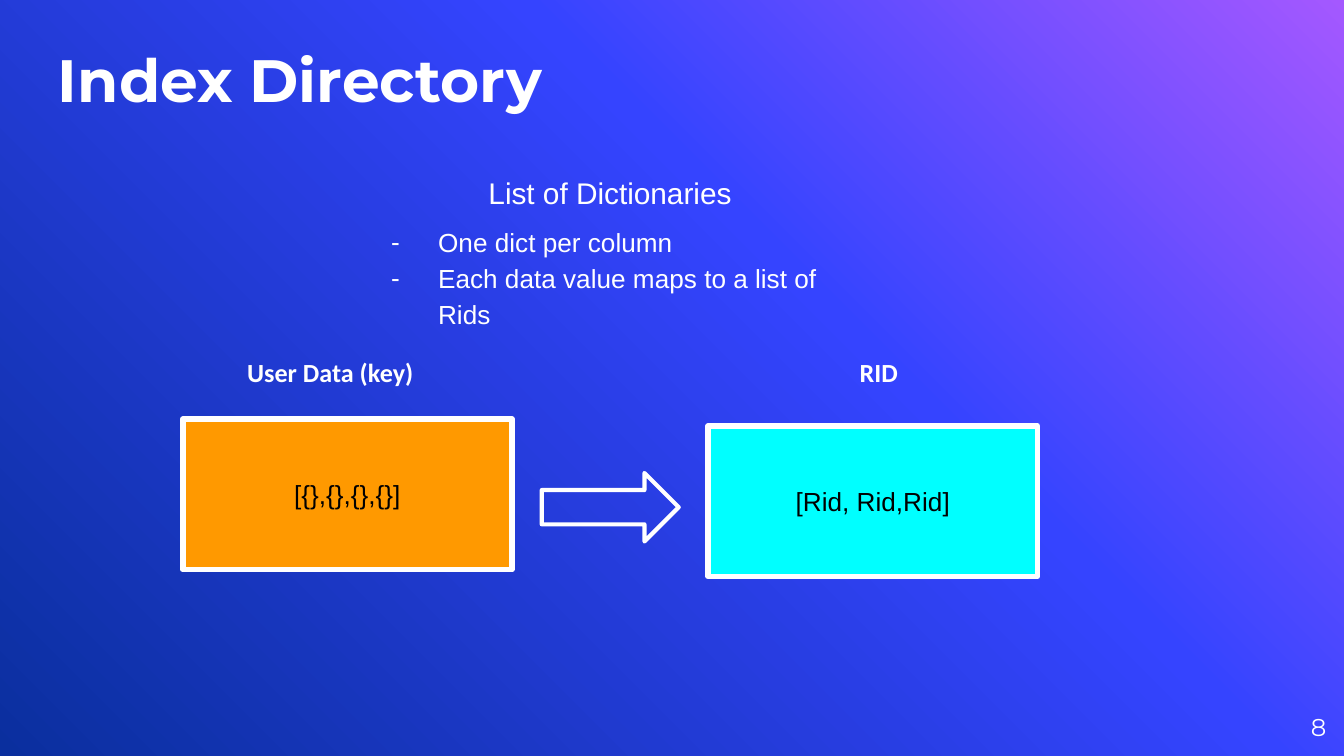
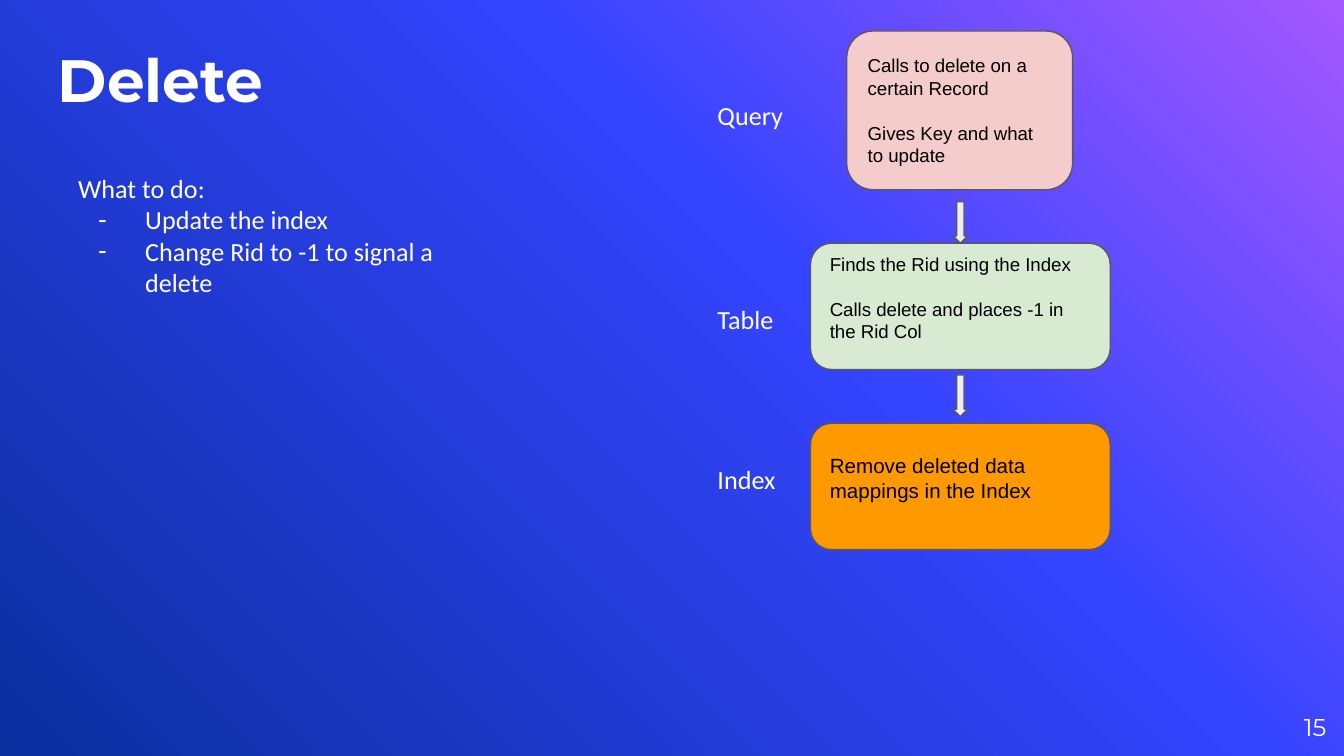
from copy import deepcopy
from dataclasses import dataclass
from typing import Optional, Sequence

from lxml.etree import SubElement
from pptx import Presentation
from pptx.dml.color import RGBColor
from pptx.enum.shapes import MSO_SHAPE as Preset
from pptx.enum.text import MSO_ANCHOR as Anchor, MSO_AUTO_SIZE as AutoSize, PP_ALIGN as Align
from pptx.oxml.ns import qn
from pptx.util import Pt

WHITE = RGBColor(0xFF, 0xFF, 0xFF)
BLACK = RGBColor(0x00, 0x00, 0x00)
ORANGE = RGBColor(0xFF, 0x99, 0x00)
CYAN = RGBColor(0x00, 0xFF, 0xFF)
PINK = RGBColor(0xF4, 0xCC, 0xCC)
GREEN = RGBColor(0xD9, 0xEA, 0xD3)
PALE_GREY = RGBColor(0xEE, 0xEE, 0xEE)
DARK_GREY = RGBColor(0x59, 0x59, 0x59)
VIOLET = RGBColor(0xA4, 0x58, 0xFF)
BLUE = RGBColor(0x35, 0x44, 0xFF)
NAVY = RGBColor(0x0A, 0x2F, 0x9E)
GRADIENT = ((0, VIOLET), (0.39, BLUE), (1, NAVY))

HEADING_FONT = "Montserrat"
LABEL_FONT = "Calibri"
BODY_FONT = "Arial"
INSET = 7.2


@dataclass(frozen=True)
class Area:
    left: float
    top: float
    width: float
    height: float

    def lengths(self) -> tuple:
        return Pt(self.left), Pt(self.top), Pt(self.width), Pt(self.height)


@dataclass(frozen=True)
class Style:
    font: str
    size: float
    color: RGBColor = WHITE
    bold: bool = False
    align: Align = Align.LEFT


@dataclass(frozen=True)
class Box:
    area: Area
    text: str
    fill: RGBColor
    style: Style
    preset: Preset = Preset.ROUNDED_RECTANGLE
    line: RGBColor = DARK_GREY
    weight: float = 0.75
    paragraph_gap: float = 0
    bottom_inset: float = INSET


@dataclass(frozen=True)
class Arrow:
    area: Area
    fill: Optional[RGBColor]
    line: RGBColor
    weight: float
    rotation: float = 0


@dataclass(frozen=True)
class Label:
    area: Area
    text: str
    style: Style


@dataclass(frozen=True)
class BulletList:
    area: Area
    lead: str
    items: Sequence[str]
    lead_style: Style
    item_style: Style
    line_spacing: float
    gaps: Sequence[float]


TITLE = Style(HEADING_FONT, 32, bold=True)
PAGE_NUMBER = Style(HEADING_FONT, 13, align=Align.RIGHT)
LABEL = Style(LABEL_FONT, 14)
STEP = Style(BODY_FONT, 10, BLACK)
LAST_STEP = Style(BODY_FONT, 11, BLACK)
DATA = Style(BODY_FONT, 14, BLACK, align=Align.CENTER)
PAGE_AREA = Area(667.4, 373.7, 43.2, 31)


def set_background(master) -> None:
    fill = master.background.fill
    fill.gradient()
    fill.gradient_angle = 225
    stop_list = master.element.find(".//" + qn("a:gsLst"))
    stop_list.append(deepcopy(stop_list[-1]))
    for stop, (position, color) in zip(fill.gradient_stops, GRADIENT):
        stop.position = position
        stop.color.rgb = color


def format_paragraph(paragraph, style: Style) -> None:
    paragraph.alignment = style.align
    for run in paragraph.runs:
        run.font.name = style.font
        run.font.size = Pt(style.size)
        run.font.bold = style.bold
        run.font.color.rgb = style.color


def write(frame, text: str, style: Style, anchor: Anchor = Anchor.TOP,
          inset: float = INSET) -> None:
    frame.text = text
    frame.word_wrap = True
    frame.auto_size = AutoSize.NONE
    frame.vertical_anchor = anchor
    frame.margin_left = frame.margin_right = Pt(inset)
    frame.margin_top = frame.margin_bottom = Pt(inset)
    for paragraph in frame.paragraphs:
        format_paragraph(paragraph, style)


def place(shape, area: Area) -> None:
    shape.left, shape.top, shape.width, shape.height = area.lengths()


def set_bullet(paragraph, bulleted: bool) -> None:
    properties = paragraph._p.get_or_add_pPr()
    properties.set("marL", str(Pt(36 if bulleted else 0)))
    properties.set("indent", str(Pt(-25.2 if bulleted else 0)))
    if bulleted:
        color = SubElement(properties, qn("a:buClr"))
        SubElement(color, qn("a:srgbClr")).set("val", str(WHITE))
        SubElement(properties, qn("a:buChar")).set("char", "-")
    else:
        SubElement(properties, qn("a:buNone"))


def draw_label(slide, label: Label) -> None:
    frame = slide.shapes.add_textbox(*label.area.lengths()).text_frame
    write(frame, label.text, label.style)


def draw_list(slide, content: BulletList) -> None:
    body = slide.placeholders[1]
    place(body, content.area)
    frame = body.text_frame
    write(frame, "\n".join((content.lead, *content.items)), content.item_style)
    format_paragraph(frame.paragraphs[0], content.lead_style)
    for index, (paragraph, gap) in enumerate(zip(frame.paragraphs, content.gaps)):
        paragraph.line_spacing = content.line_spacing
        paragraph.space_before = Pt(gap)
        set_bullet(paragraph, index > 0)


def draw_preset(slide, preset: Preset, area: Area, fill: Optional[RGBColor],
                line: RGBColor, weight: float):
    shape = slide.shapes.add_shape(preset, *area.lengths())
    shape.shadow.inherit = False
    if fill is None:
        shape.fill.background()
    else:
        shape.fill.solid()
        shape.fill.fore_color.rgb = fill
    shape.line.color.rgb = line
    shape.line.width = Pt(weight)
    return shape


def draw_box(slide, box: Box) -> None:
    shape = draw_preset(slide, box.preset, box.area, box.fill, box.line, box.weight)
    frame = shape.text_frame
    write(frame, box.text, box.style, Anchor.MIDDLE)
    frame.margin_bottom = Pt(box.bottom_inset)
    for paragraph in frame.paragraphs[1:]:
        paragraph.space_before = Pt(box.paragraph_gap)


def draw_arrow(slide, arrow: Arrow) -> None:
    shape = draw_preset(slide, Preset.RIGHT_ARROW, arrow.area, arrow.fill,
                        arrow.line, arrow.weight)
    shape.rotation = arrow.rotation


def add_page(deck, title: str, title_width: float, number: int, content: BulletList):
    slide = deck.slides.add_slide(deck.slide_layouts[1])
    place(slide.shapes.title, Area(31, 23.8, title_width, 37.4))
    write(slide.shapes.title.text_frame, title, TITLE, Anchor.BOTTOM, 0)
    page = slide.shapes.add_textbox(*PAGE_AREA.lengths())
    write(page.text_frame, str(number), PAGE_NUMBER, Anchor.MIDDLE, 0)
    draw_list(slide, content)
    return slide


def build_index_directory(deck) -> None:
    slide = add_page(deck, "Index Directory", 473.8, 8, BulletList(
        Area(191.5, 83.5, 270.7, 98.6), "List of Dictionaries",
        ("One dict per column", "Each data value maps to a list of Rids"),
        Style(BODY_FONT, 16, align=Align.CENTER), Style(BODY_FONT, 14),
        1.15, (6, 6, 0)))
    for left, top, text, fill in (
        (97.9, 224.6, "[{},{},{},{}]", ORANGE),
        (379.4, 228.2, "[Rid, Rid,Rid]", CYAN),
    ):
        draw_box(slide, Box(Area(left, top, 176.4, 80.6), text, fill, DATA,
                            Preset.RECTANGLE, WHITE, 3))
    for left, width, text, align in (
        (451.4, 38.9, "RID", Align.CENTER),
        (125.3, 122.4, "User Data (key)", Align.LEFT),
    ):
        draw_label(slide, Label(Area(left, 183.6, width, 31), text,
                                Style(LABEL_FONT, 14, bold=True, align=align)))
    draw_arrow(slide, Arrow(Area(290.2, 253.4, 73.4, 36.7), None, WHITE, 2.25))


def build_delete(deck) -> None:
    slide = add_page(deck, "Delete", 179.3, 15, BulletList(
        Area(34.6, 85, 242.6, 82.1), "What to do:",
        ("Update the index", "Change Rid to -1 to signal a delete"),
        LABEL, LABEL, 1.0, (0, 0, 0)))
    for top in (115.2, 208.1):
        draw_arrow(slide, Arrow(Area(503.3, top, 22.3, 7.9), PALE_GREY,
                                DARK_GREY, 0.75, 90))
    for top, text in ((46.1, "Query"), (155.5, "Table"), (241.2, "Index")):
        draw_label(slide, Label(Area(377.3, top, 55.4, 31.7), text, LABEL))
    for box in (
        Box(Area(453.6, 16.6, 121, 85),
            "Calls to delete on a certain Record\nGives Key and what to update",
            PINK, STEP, paragraph_gap=12),
        Box(Area(434.2, 130.3, 160.6, 67.7),
            "Finds the Rid using the Index\nCalls delete and places -1 in the Rid Col",
            GREEN, STEP, paragraph_gap=12, bottom_inset=16.4),
        Box(Area(434.2, 226.8, 160.6, 67.7),
            "Remove deleted data mappings in the Index",
            ORANGE, LAST_STEP, bottom_inset=16.4),
    ):
        draw_box(slide, box)


def main() -> None:
    deck = Presentation()
    deck.slide_width, deck.slide_height = Pt(720), Pt(405)
    set_background(deck.slide_master)
    build_index_directory(deck)
    build_delete(deck)
    deck.save("out.pptx")


main()
